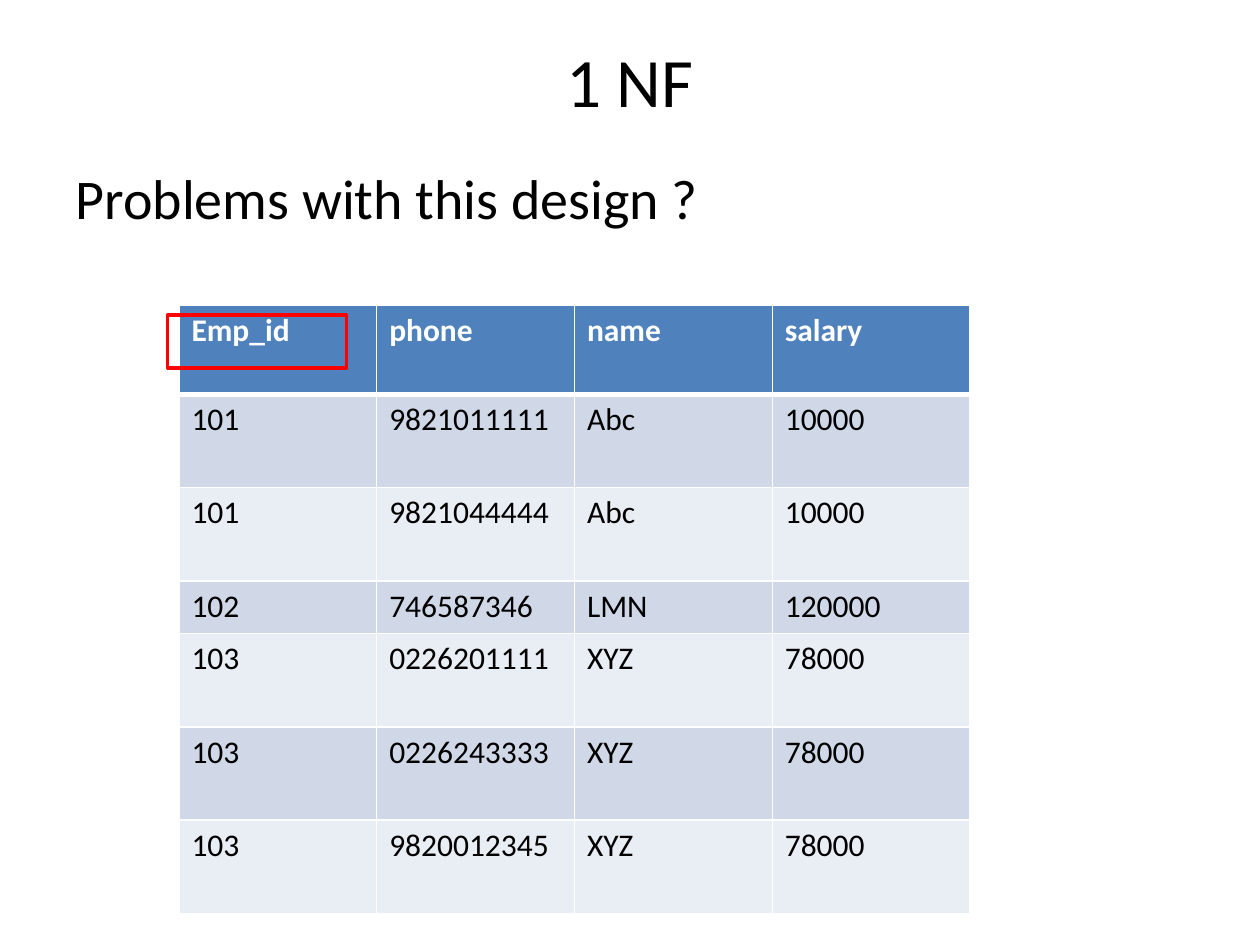
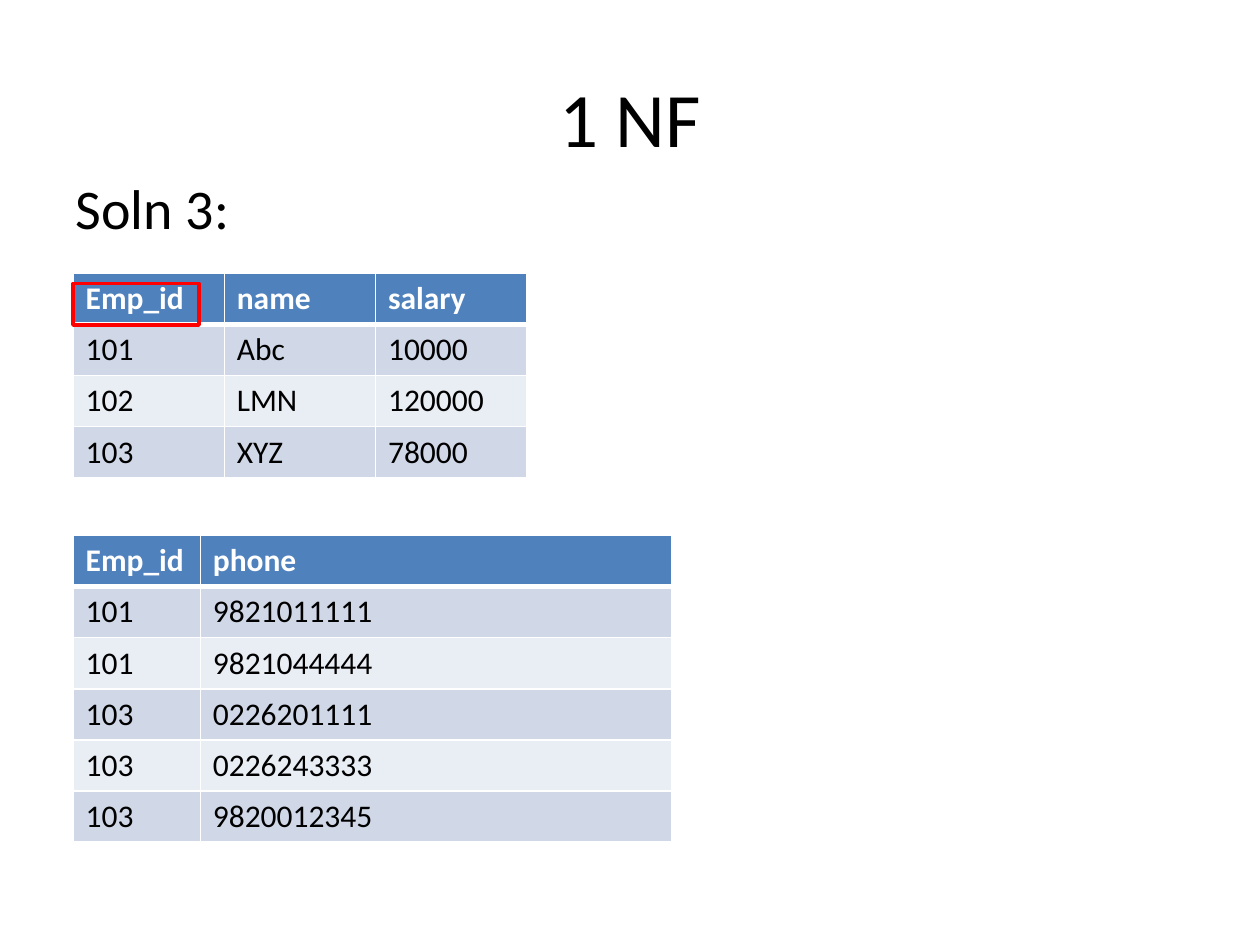
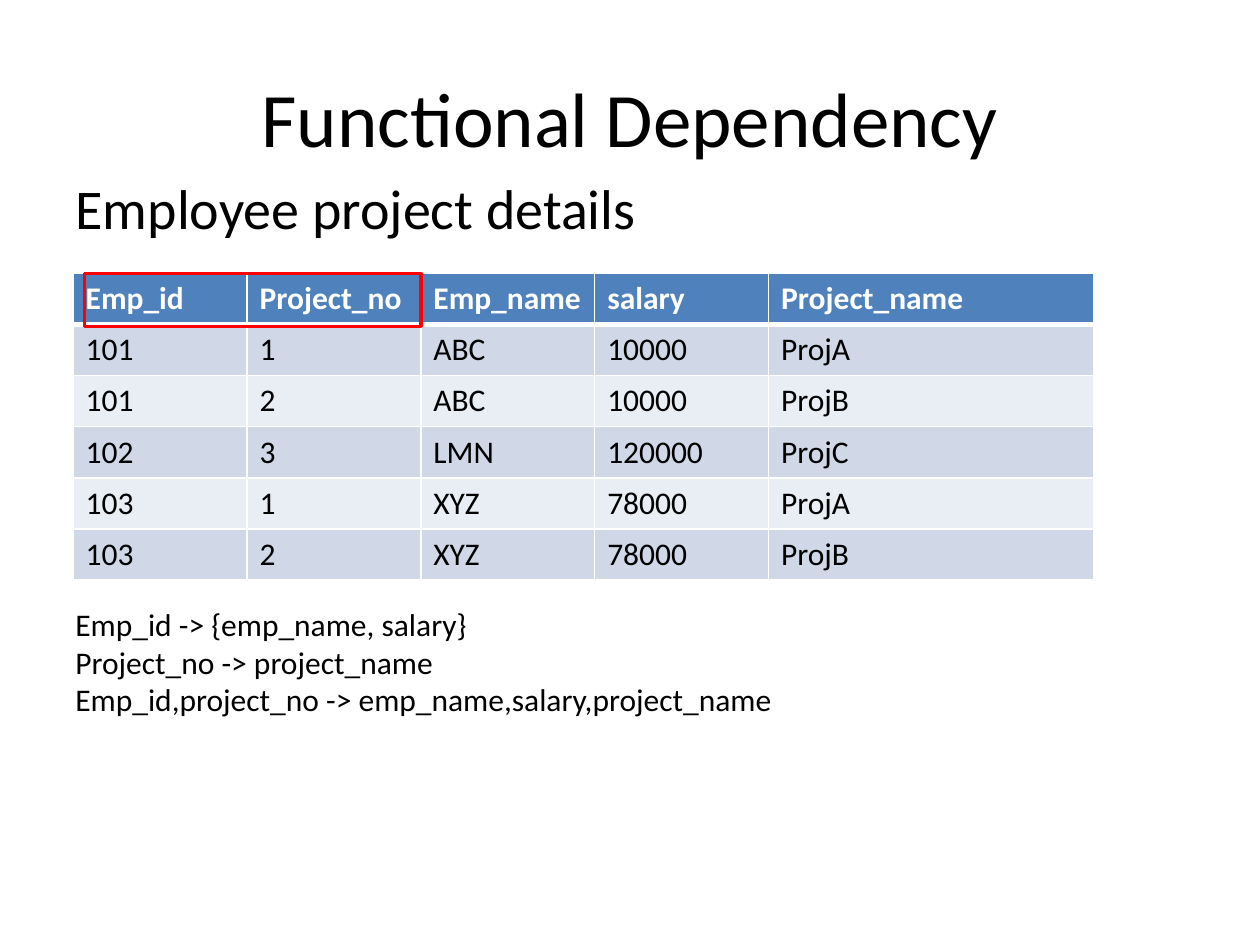
from pptx import Presentation
from pptx.util import Inches, Pt
from pptx.dml.color import RGBColor
from pptx.enum.shapes import MSO_SHAPE as Shape
from pptx.enum.text import MSO_ANCHOR as Anchor, PP_ALIGN as Align, MSO_AUTO_SIZE as Auto
from pptx.oxml import parse_xml
from pptx.oxml.ns import nsdecls

WIDE, HIGH = 10, 7.5
FACE = "Calibri"
INK, WHITE, RED = "000000", "FFFFFF", "FF0000"
HEAD, BANDS = "4F81BD", ("D0D8E8", "E9EDF4")
EDGE, ROW, TOP = 0.58, 0.405, 2.17
TITLE, BODY = (0.5, 0.3, 9, 1.25), (0.5, 1.33, 9, 4.95)

STAFF = """Emp_id phone name salary
101 9821011111 Abc 10000
101 9821044444 Abc 10000
102 746587346 LMN 120000
103 0226201111 XYZ 78000
103 0226243333 XYZ 78000
103 9820012345 XYZ 78000"""

PAY = """Emp_id name salary
101 Abc 10000
102 LMN 120000
103 XYZ 78000"""

PHONES = """Emp_id phone
101 9821011111
101 9821044444
103 0226201111
103 0226243333
103 9820012345"""

TASKS = """Emp_id Project_no Emp_name salary Project_name
101 1 ABC 10000 ProjA
101 2 ABC 10000 ProjB
102 3 LMN 120000 ProjC
103 1 XYZ 78000 ProjA
103 2 XYZ 78000 ProjB"""

RULES = [
    "Emp_id -> {emp_name, salary}",
    "Project_no -> project_name",
    "Emp_id,project_no -> emp_name,salary,project_name",
]

SLIDES = [
    dict(title="1 NF", size=39.6, high=True, body="Problems with this design ?",
         area=(0.5, 1.25, 7.67, 1), key=(1.33, 2.5, 1.42, 0.42),
         grids=[(STAFF, 1.42, 2.42, [1.57] * 4, [0.71, 0.74, 0.74, 0.42] + [0.74] * 3)]),
    dict(title="1 NF", body="Soln 3:", key=(EDGE, 2.25, 1, 0.33),
         grids=[(PAY, EDGE, TOP, [1.2] * 3, [ROW] * 4),
                (PHONES, EDGE, 4.25, [1.01, 3.74], [ROW] * 6)]),
    dict(title="Functional Dependency", body="Employee project details",
         key=(0.67, TOP, 2.67, 0.42), notes=RULES,
         grids=[(TASKS, EDGE, TOP, [1.38] * 4 + [2.58], [ROW] * 6)]),
]


def tint(code):
    return RGBColor.from_string(code)


def place(box, spot):
    for name, size in zip(("left", "top", "width", "height"), spot):
        setattr(box, name, Inches(size))


def style(par, size, color=INK, bold=False):
    par.font.color.rgb = tint(color)
    for name, value in dict(name=FACE, size=Pt(size), bold=bold).items():
        setattr(par.font, name, value)


def write(box, spot, text, size):
    place(box, spot)
    frame = box.text_frame
    frame.auto_size = Auto.NONE
    frame.text = text
    style(frame.paragraphs[0], size)
    return frame


def border(cell, head):
    props = cell._tc.get_or_add_tcPr()
    for spot, side in enumerate("LRTB"):
        width = Pt(3 if head and side == "B" else 1)
        props.insert(spot, parse_xml(
            f'<a:ln{side} {nsdecls("a")} w="{width}"><a:solidFill>'
            f'<a:srgbClr val="{WHITE}"/></a:solidFill></a:ln{side}>'))


def grid(slide, text, left, top, cols, rows):
    spot = [Inches(n) for n in (left, top, sum(cols), sum(rows))]
    table = slide.shapes.add_table(len(rows), len(cols), *spot).table
    for col, size in zip(table.columns, cols):
        col.width = Inches(size)
    for row, size in zip(table.rows, rows):
        row.height = Inches(size)
    for i, line in enumerate(text.splitlines()):
        head = i == 0
        for j, word in enumerate(line.split()):
            cell = table.cell(i, j)
            cell.text = word
            cell.fill.solid()
            cell.fill.fore_color.rgb = tint(HEAD if head else BANDS[(i - 1) % 2])
            style(cell.text_frame.paragraphs[0], 18, WHITE if head else INK, head)
            border(cell, head)


def frame_key(slide, spot):
    box = slide.shapes.add_shape(Shape.RECTANGLE, 0, 0, 0, 0)
    place(box, spot)
    box.shadow.inherit = False
    box.fill.background()
    box.line.color.rgb = tint(RED)
    box.line.width = Pt(2)


def list_rules(slide, lines):
    box = slide.shapes.add_textbox(0, 0, 0, 0)
    place(box, (0.5, 4.75, 8.33, 1.31))
    frame = box.text_frame
    frame.word_wrap = True
    frame.text = "\n".join(lines)
    for par in frame.paragraphs:
        style(par, 18)


def build(deck, data):
    slide = deck.slides.add_slide(deck.slide_layouts[1])
    title, body = slide.placeholders
    frame = write(title, TITLE, data["title"], data.get("size", 44))
    frame.paragraphs[0].alignment = Align.CENTER
    frame.vertical_anchor = Anchor.MIDDLE
    if data.get("high"):
        frame.vertical_anchor = Anchor.TOP
        frame.margin_top = 0
    par = write(body, data.get("area", BODY), data["body"], 32).paragraphs[0]
    props = par._p.get_or_add_pPr()
    for name, size in dict(marL=0.38, indent=-0.38).items():
        props.set(name, str(Inches(size)))
    props.append(parse_xml(f'<a:buNone {nsdecls("a")}/>'))
    for item in data["grids"]:
        grid(slide, *item)
    if "notes" in data:
        list_rules(slide, data["notes"])
    frame_key(slide, data["key"])


deck = Presentation()
deck.slide_width, deck.slide_height = Inches(WIDE), Inches(HIGH)
for data in SLIDES:
    build(deck, data)
deck.save("out.pptx")
